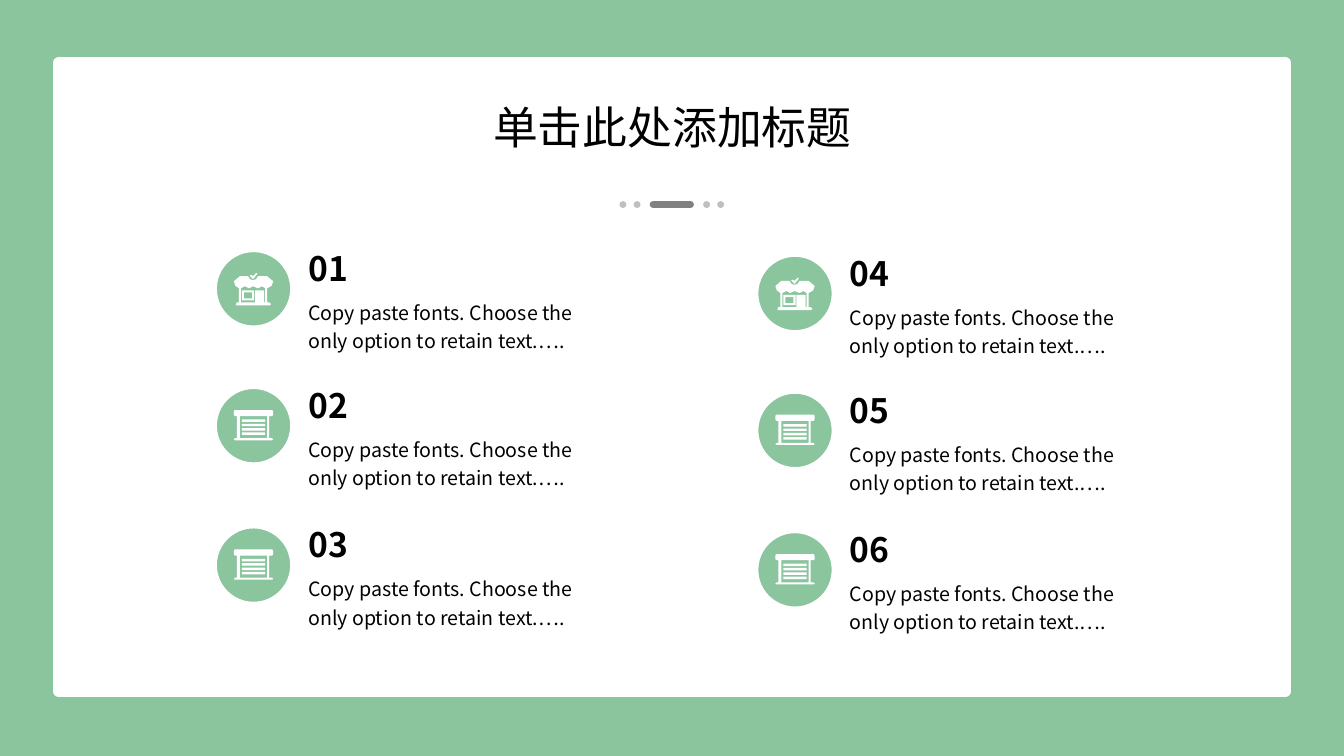
import dataclasses
import itertools
import typing

import lxml.etree
import pptx
import pptx.dml.color
import pptx.enum.shapes
import pptx.enum.text
import pptx.oxml.ns
import pptx.util

Points = list[tuple[float, float]]
FONT = "Noto Sans CJK SC"
GREEN, WHITE, BLACK, DARK, LIGHT = "8AC59E", "FFFFFF", "000000", "808080", "BFBFBF"
CELL = pptx.util.Inches(13.3333) // 160
DISC = 9.48
DISC_UNITS = 79
FINE = 10
BLURB = "Copy paste fonts. Choose the only option to retain text.…."
MIDDLE = pptx.enum.text.MSO_ANCHOR.MIDDLE
TOP = pptx.enum.text.MSO_ANCHOR.TOP


@dataclasses.dataclass
class Box:
    left: float
    top: float
    width: float
    height: float

    def emu(self) -> list[int]:
        return [cells(v) for v in dataclasses.astuple(self)]


@dataclasses.dataclass
class Dash:
    start: float
    end: float
    color: str


@dataclasses.dataclass
class Column:
    left: float
    top: float


@dataclasses.dataclass
class Style:
    size: float
    bold: bool = False
    anchor: typing.Any = MIDDLE
    alignment: typing.Any = pptx.enum.text.PP_ALIGN.LEFT
    line_spacing: float = 1.0


TITLE = Style(32, alignment=pptx.enum.text.PP_ALIGN.CENTER)
NUMBER = Style(24, bold=True)
BODY = Style(14, anchor=TOP, line_spacing=1.2)

DASHES = [Dash(77.76, 82.2, DARK)] + [Dash(x, x, LIGHT) for x in (74.16, 75.84, 84.12, 85.8)]
COLUMNS = [Column(25.44, 29.64), Column(89.9, 30.2)]
ROW_OFFSETS = [0, 16.3, 32.9]


def cells(n: float) -> int:
    return round(n * CELL)


def rgb(color: str) -> pptx.dml.color.RGBColor:
    return pptx.dml.color.RGBColor.from_string(color)


def rect(left: float, top: float, right: float, bottom: float) -> Points:
    return [(left, top), (right, top), (right, bottom), (left, bottom)]


STORE: list[Points] = [
    [(36, 27), (36, 26), (38, 26), (39, 27), (42, 24), (43, 24), (43, 25), (40, 29),
     (39, 30), (38, 29)],
    [(53, 39), (53, 53), (55, 53), (57, 55), (55, 56), (23, 56), (22, 55), (23, 53),
     (25, 53), (25, 39), (21.5, 36.5), (20, 32), (26, 27), (34, 27), (36, 30), (39, 31),
     (42, 30), (44, 27), (53, 27), (59, 32), (57.5, 36.5)],
    [(51, 53), (51, 39), (48, 37), (44, 39), (39, 37), (35, 39), (31, 37), (27, 39),
     (27, 53), (41, 53), (41, 41), (50, 41), (50, 53)],
    rect(28, 41, 40, 51),
    rect(30, 43, 38, 49),
]
SHUTTER: list[Points] = [
    [(55, 30), (55, 52), (58, 52), (59, 53), (58, 54), (21, 54), (20, 53), (21, 52),
     (23, 52), (23, 30), (21, 30), (20, 29), (20, 25), (21, 24), (58, 24), (59, 25),
     (59, 29), (58, 30)],
    rect(26, 30, 53, 52),
] + [rect(28, 33.4 + 4.3 * i, 51, 35.8 + 4.3 * i) for i in range(4)]
ICONS = [STORE, SHUTTER, SHUTTER]


def paint(sp: typing.Any, fill: str, line: str | None = None, width: float = 0) -> None:
    sp.shadow.inherit = False
    sp.fill.solid()
    sp.fill.fore_color.rgb = rgb(fill)
    if line:
        sp.line.color.rgb = rgb(line)
        sp.line.width = pptx.util.Pt(width)
    else:
        sp.line.fill.background()


def write(sp: typing.Any, text: str, style: Style) -> None:
    tf = sp.text_frame
    tf.word_wrap = True
    tf.auto_size = pptx.enum.text.MSO_AUTO_SIZE.NONE
    tf.vertical_anchor = style.anchor
    p = tf.paragraphs[0]
    p.alignment, p.line_spacing = style.alignment, style.line_spacing
    r = p.add_run()
    r.text = text
    r.font.color.rgb = rgb(BLACK)
    formats = {"size": pptx.util.Pt(style.size), "bold": style.bold, "name": FONT}
    for name, value in formats.items():
        setattr(r.font, name, value)
    ea = lxml.etree.SubElement(r.font._element, pptx.oxml.ns.qn("a:ea"))
    ea.set("typeface", FONT)


def add_text(s: typing.Any, box: Box, text: str, style: Style) -> None:
    write(s.shapes.add_textbox(*box.emu()), text, style)


def add_dash(s: typing.Any, dash: Dash) -> None:
    y = cells(24.35)
    c = s.shapes.add_connector(
        pptx.enum.shapes.MSO_CONNECTOR.STRAIGHT, cells(dash.start), y, cells(dash.end), y)
    c.line.color.rgb = rgb(dash.color)
    c.line.width = pptx.util.Pt(5)
    c.line._get_or_add_ln().set("cap", "rnd")
    lxml.etree.SubElement(c.element.spPr, pptx.oxml.ns.qn("a:effectLst"))


def add_badge(s: typing.Any, left: float, top: float, icon: list[Points]) -> None:
    shapes = s.shapes.add_group_shape().shapes
    disc = shapes.add_shape(
        pptx.enum.shapes.MSO_SHAPE.OVAL, *Box(left, top, DISC, DISC).emu())
    paint(disc, GREEN, WHITE, 4.5)
    outlines = [[(x * FINE, y * FINE) for x, y in points] for points in icon]
    scale = cells(DISC) / DISC_UNITS / FINE
    builder = shapes.build_freeform(*outlines[0][0], scale=scale)
    builder.add_line_segments(outlines[0][1:], close=True)
    for outline in outlines[1:]:
        builder.move_to(*outline[0])
        builder.add_line_segments(outline[1:], close=True)
    paint(builder.convert_to_shape(cells(left), cells(top)), WHITE)


def main() -> None:
    """Build the six-item slide and save it."""
    prs = pptx.Presentation()
    prs.slide_width, prs.slide_height = 160 * CELL, 90 * CELL
    s = prs.slides.add_slide(prs.slide_layouts[5])
    s.background.fill.solid()
    s.background.fill.fore_color.rgb = rgb(GREEN)

    panel = s.shapes.add_shape(
        pptx.enum.shapes.MSO_SHAPE.RECTANGLE, *Box(7, 7.5, 146, 74.8).emu())
    paint(panel, WHITE, WHITE, 8.5)
    title = s.shapes.title
    title.left, title.top, title.width, title.height = Box(8.9, 10.4, 142.3, 9.4).emu()
    write(title, "单击此处添加标题", TITLE)
    panel.element.addnext(title.element)

    for dash in DASHES:
        add_dash(s, dash)
    items = itertools.product(COLUMNS, zip(ROW_OFFSETS, ICONS))
    for number, (column, (offset, icon)) in enumerate(items, 1):
        top, text_left = column.top + offset, column.left + 10.08
        add_badge(s, column.left, top, icon)
        add_text(s, Box(text_left, top + 5.04, 38.76, 6.72), BLURB, BODY)
        add_text(s, Box(text_left, top - 0.5, 38.76, 5.54), f"{number:02}", NUMBER)

    prs.save("out.pptx")


if __name__ == "__main__":
    main()
